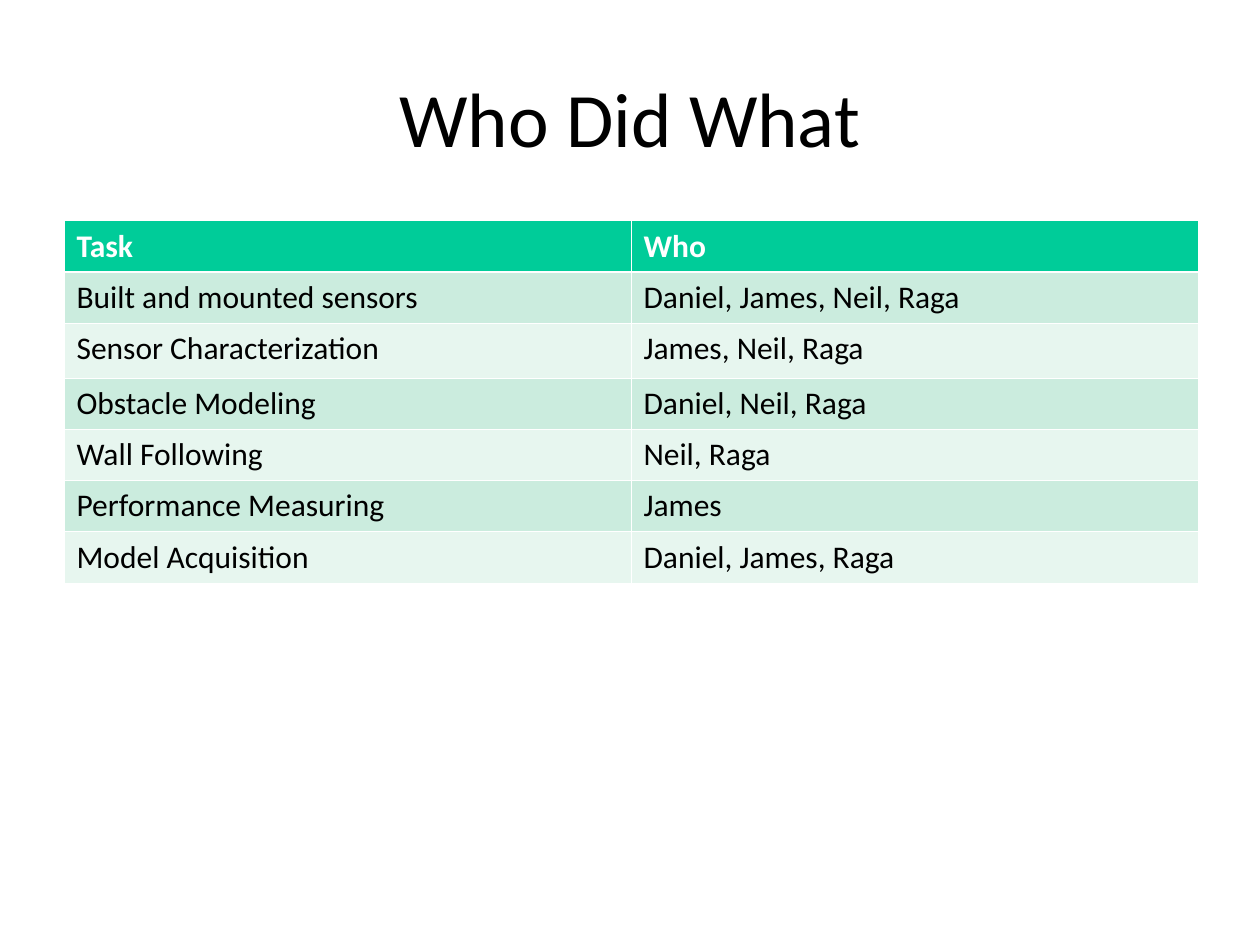
from dataclasses import dataclass

from lxml.etree import SubElement
from pptx import Presentation
from pptx.dml.color import RGBColor
from pptx.enum.text import MSO_ANCHOR, PP_ALIGN
from pptx.oxml.ns import qn
from pptx.util import Cm, Pt


@dataclass
class Theme:
    font: str = "Calibri"
    head: str = "00CC99"
    bands: tuple = ("CBECDE", "E7F6EF")
    ink: str = "000000"
    white: str = "FFFFFF"
    title: int = 44
    body: int = 18
    thin: float = 0.45
    thick: float = 1.47


theme = Theme()


def style(para, size, color, bold=False):
    for run in para.runs:
        font = run.font
        font.name, font.size, font.bold = theme.font, Pt(size), bold
        font.color.rgb = RGBColor.from_string(color)


def border(cell, side, width):
    line = SubElement(cell._tc.get_or_add_tcPr(), qn(f"a:ln{side}"), w=str(Pt(width)))
    fill = SubElement(line, qn("a:solidFill"))
    SubElement(fill, qn("a:srgbClr"), val=theme.white)


deck = Presentation()
deck.slide_width, deck.slide_height = Cm(25.4), Cm(19.05)
slide = deck.slides.add_slide(deck.slide_layouts[5])

# Title
title = slide.shapes.title
title.left, title.top, title.width, title.height = Cm(1.27), Cm(0.36), Cm(22.86), Cm(3.99)
title.text_frame.text = "Who Did What"
title.text_frame.vertical_anchor = MSO_ANCHOR.MIDDLE
para = title.text_frame.paragraphs[0]
para.alignment = PP_ALIGN.CENTER
style(para, theme.title, theme.ink)

# Task table
tasks = [
    ("Task", "Who"),
    ("Built and mounted sensors", "Daniel, James, Neil, Raga"),
    ("Sensor Characterization", "James, Neil, Raga"),
    ("Obstacle Modeling", "Daniel, Neil, Raga"),
    ("Wall Following", "Neil, Raga"),
    ("Performance Measuring", "James"),
    ("Model Acquisition", "Daniel, James, Raga"),
]
table = slide.shapes.add_table(
    len(tasks), 2, Cm(1.29), Cm(4.45), Cm(22.86), Cm(7.29)
).table

for r, task in enumerate(tasks):
    table.rows[r].height = Cm(1.12 if r == 2 else 1.03)
    for c, text in enumerate(task):
        cell = table.cell(r, c)
        cell.text_frame.text = text
        style(cell.text_frame.paragraphs[0], theme.body,
              theme.ink if r else theme.white, bold=r == 0)

        # Borders: a thicker rule divides the header from the body
        border(cell, "L", theme.thin)
        border(cell, "R", theme.thin)
        border(cell, "T", theme.thick if r == 1 else theme.thin)
        border(cell, "B", theme.thick if r == 0 else theme.thin)

        # Header colour, then alternating bands
        cell.fill.solid()
        shade = theme.bands[(r - 1) % 2] if r else theme.head
        cell.fill.fore_color.rgb = RGBColor.from_string(shade)

deck.save("out.pptx")
